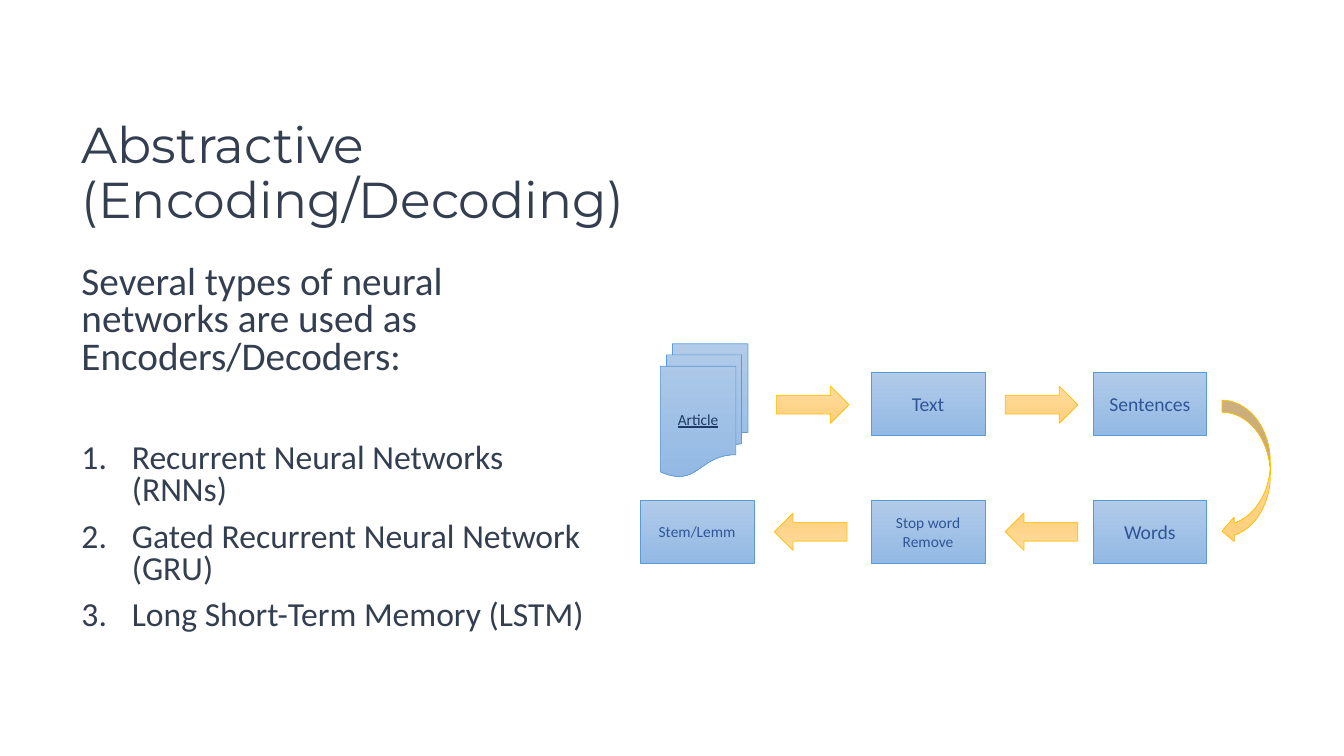
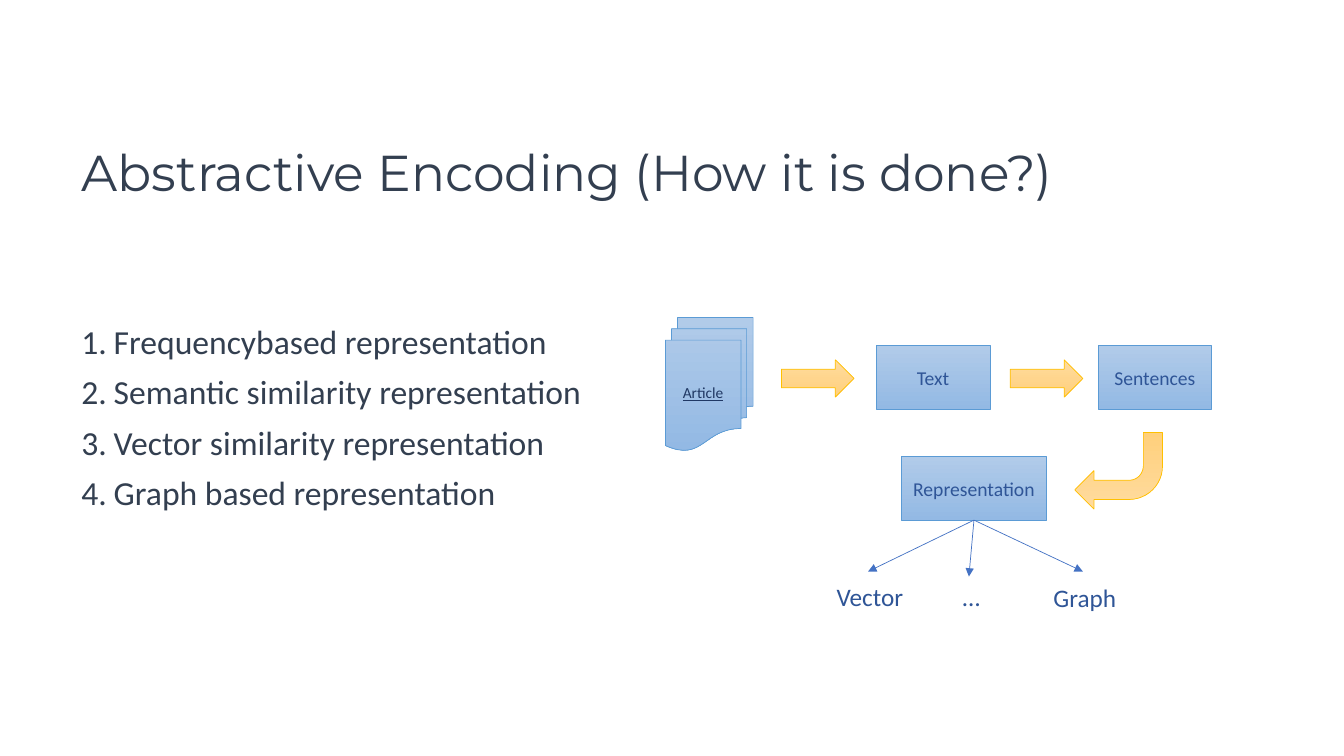
import dataclasses

import lxml.etree
import pptx
import pptx.dml.color
import pptx.enum.shapes
import pptx.enum.text
import pptx.oxml.ns
import pptx.util

Inches = pptx.util.Inches
Pt = pptx.util.Pt
Preset = pptx.enum.shapes.MSO_SHAPE
Anchor = pptx.enum.text.MSO_ANCHOR
Align = pptx.enum.text.PP_ALIGN
qn = pptx.oxml.ns.qn

COLORS = {
    "heading": "333F50", "label": "2F5597", "article": "203864",
    "box_top": "B1CBE9", "box_bottom": "93B9E4", "box_line": "5B9BD5",
    "arrow_top": "FFDB9E", "arrow_bottom": "FFD07C", "arrow_line": "FFC000",
    "connector": "4472C4",
}
TITLE_FONT, BODY_FONT = "Montserrat", "Calibri"
TEXT_LEFT = 0.71
BOX_WIDTH, BOX_HEIGHT = 1.13, 0.63
ARROW_WIDTH, ARROW_HEIGHT = 0.72, 0.37


@dataclasses.dataclass(frozen=True)
class Node:
    """A labelled blue step of the flow."""
    label: str
    left: float
    top: float
    width: float = BOX_WIDTH
    height: float = BOX_HEIGHT
    size: int = 14
    preset: Preset = Preset.RECTANGLE
    color: str = "label"
    underline: bool = False


@dataclasses.dataclass(frozen=True)
class Arrow:
    """A yellow block arrow between steps."""
    left: float
    top: float
    width: float = ARROW_WIDTH
    height: float = ARROW_HEIGHT
    preset: Preset = Preset.RIGHT_ARROW
    rotation: int = 0


@dataclasses.dataclass(frozen=True)
class Outcome:
    """A plain label and the point its connector ends at."""
    label: str
    left: float
    top: float
    tip_x: float
    tip_y: float


def rgb(name: str) -> pptx.dml.color.RGBColor:
    return pptx.dml.color.RGBColor.from_string(COLORS[name])


def add_span(para, text: str, size: float, color: str, font: str = BODY_FONT):
    span = para.add_run()
    span.text = text
    span.font.name = font
    span.font.size = Pt(size)
    span.font.color.rgb = rgb(color)
    return span


# Text parts
def add_page(deck, title: str, title_width: float):
    page = deck.slides.add_slide(deck.slide_layouts[5])
    box = page.shapes.title
    box.left, box.top = Inches(TEXT_LEFT), Inches(0.82)
    box.width, box.height = Inches(title_width), Inches(1.83)
    frame = box.text_frame
    frame.auto_size = pptx.enum.text.MSO_AUTO_SIZE.NONE
    frame.word_wrap = True
    frame.vertical_anchor = Anchor.MIDDLE
    para = frame.paragraphs[0]
    para.alignment = Align.LEFT
    para.line_spacing = 0.9
    add_span(para, title, 36, "heading", TITLE_FONT)
    return page


def add_text_box(page, left: float, top: float, width: float, height: float):
    box = page.shapes.add_textbox(Inches(left), Inches(top), Inches(width), Inches(height))
    box.text_frame.word_wrap = True
    return box.text_frame


def add_numbered(frame, items: list[str], indent: float, spacing: float, first_gap: float) -> None:
    for index, item in enumerate(items):
        first = frame.paragraphs[0]
        para = frame.add_paragraph() if index or first.runs else first
        para.line_spacing = spacing
        para.space_before = Pt(10 if index else first_gap)
        add_span(para, item, 24, "heading")
        properties = para._p.get_or_add_pPr()
        properties.set("marL", str(Inches(indent)))
        properties.set("indent", str(-Inches(indent)))
        lxml.etree.SubElement(properties, qn("a:buFont"), typeface="+mj-lt")
        lxml.etree.SubElement(properties, qn("a:buAutoNum"), type="arabicPeriod")


# Flow parts
def add_part(page, part: Node | Arrow, style: str):
    shape = page.shapes.add_shape(part.preset, Inches(part.left), Inches(part.top),
                                  Inches(part.width), Inches(part.height))
    shape.shadow.inherit = False
    shape.fill.gradient()
    shape.fill.gradient_angle = 270
    for stop, end in zip(shape.fill.gradient_stops, ("top", "bottom")):
        stop.color.rgb = rgb(f"{style}_{end}")
    shape.line.color.rgb = rgb(f"{style}_line")
    shape.line.width = Pt(0.5)
    return shape


def add_node(page, node: Node):
    shape = add_part(page, node, "box")
    shape.text_frame.word_wrap = True
    shape.text_frame.vertical_anchor = Anchor.MIDDLE
    para = shape.text_frame.paragraphs[0]
    para.alignment = Align.CENTER
    span = add_span(para, node.label, node.size, node.color)
    if node.underline:
        span.font.underline = True
    return shape


def add_arrow(page, arrow: Arrow) -> None:
    add_part(page, arrow, "arrow").rotation = arrow.rotation


def add_intake(page, left: float, top: float) -> None:
    """Draw the row Article, Text, Sentences that opens both flows."""
    add_node(page, Node("Article", left, top, 0.87, 1.32, 11,
                        Preset.FLOWCHART_MULTIDOCUMENT, "article", True))
    for label, arrow_offset, box_offset in (("Text", 1.15, 2.09), ("Sentences", 3.42, 4.29)):
        add_arrow(page, Arrow(left + arrow_offset, top + 0.42))
        add_node(page, Node(label, left + box_offset, top + 0.28))


def add_outcome(page, source, outcome: Outcome) -> None:
    line = page.shapes.add_connector(pptx.enum.shapes.MSO_CONNECTOR.STRAIGHT, 0, 0,
                                     Inches(outcome.tip_x), Inches(outcome.tip_y))
    line.begin_connect(source, 2)
    line.line.color.rgb = rgb("connector")
    line.line.width = Pt(0.5)
    lxml.etree.SubElement(line.line._get_or_add_ln(), qn("a:tailEnd"), type="triangle")
    lxml.etree.SubElement(line._element.spPr, qn("a:effectLst"))
    frame = add_text_box(page, outcome.left, outcome.top, 0.93, 0.4)
    add_span(frame.paragraphs[0], outcome.label, 18, "label")


# Slides
def build_networks_page(deck) -> None:
    page = add_page(deck, "Abstractive (Encoding/Decoding)", 7.77)
    frame = add_text_box(page, TEXT_LEFT, 2.58, 5.22, 3.89)
    intro = frame.paragraphs[0]
    intro.line_spacing = 0.8
    intro.space_before = Pt(10)
    add_span(intro, "Several types of neural networks are used as Encoders/Decoders:", 28, "heading")
    add_numbered(frame, ["Recurrent Neural Networks (RNNs)",
                         "Gated Recurrent Neural Network (GRU)",
                         "Long Short-Term Memory (LSTM)"], 0.5, 0.8, 47)

    add_intake(page, 6.55, 3.41)
    add_arrow(page, Arrow(12.12, 3.97, 0.48, 1.42, Preset.CURVED_LEFT_ARROW))
    row_top = 4.96
    for label, left, size in (("Words", 10.84, 14), ("Stop word Remove", 8.64, 11),
                              ("Stem/Lemm", 6.35, 11)):
        add_node(page, Node(label, left, row_top, size=size))
    for left in (9.97, 7.68):
        add_arrow(page, Arrow(left, row_top + 0.13, rotation=180))


def build_encoding_page(deck) -> None:
    page = add_page(deck, "Abstractive Encoding (How it is done?)", 11.31)
    frame = add_text_box(page, TEXT_LEFT, 3.18, 5.6, 3.29)
    add_numbered(frame, ["Frequencybased representation",
                         "Semantic similarity representation",
                         "Vector similarity representation",
                         "Graph based representation"], 0.32, 0.9, 0)

    add_intake(page, 6.6, 3.15)
    add_arrow(page, Arrow(10.66, 4.29, 0.87, 0.76, Preset.BENT_ARROW, 180))
    representation = add_node(page, Node("Representation", 8.94, 4.53, 1.44))
    for outcome in (Outcome("Vector", 8.2, 5.72, 8.61, 5.67),
                    Outcome("…", 9.45, 5.72, 9.61, 5.72),
                    Outcome("Graph", 10.35, 5.73, 10.74, 5.67)):
        add_outcome(page, representation, outcome)


def main() -> None:
    deck = pptx.Presentation()
    deck.slide_width, deck.slide_height = Inches(13.33), Inches(7.5)
    build_networks_page(deck)
    build_encoding_page(deck)
    deck.save("out.pptx")


if __name__ == "__main__":
    main()
